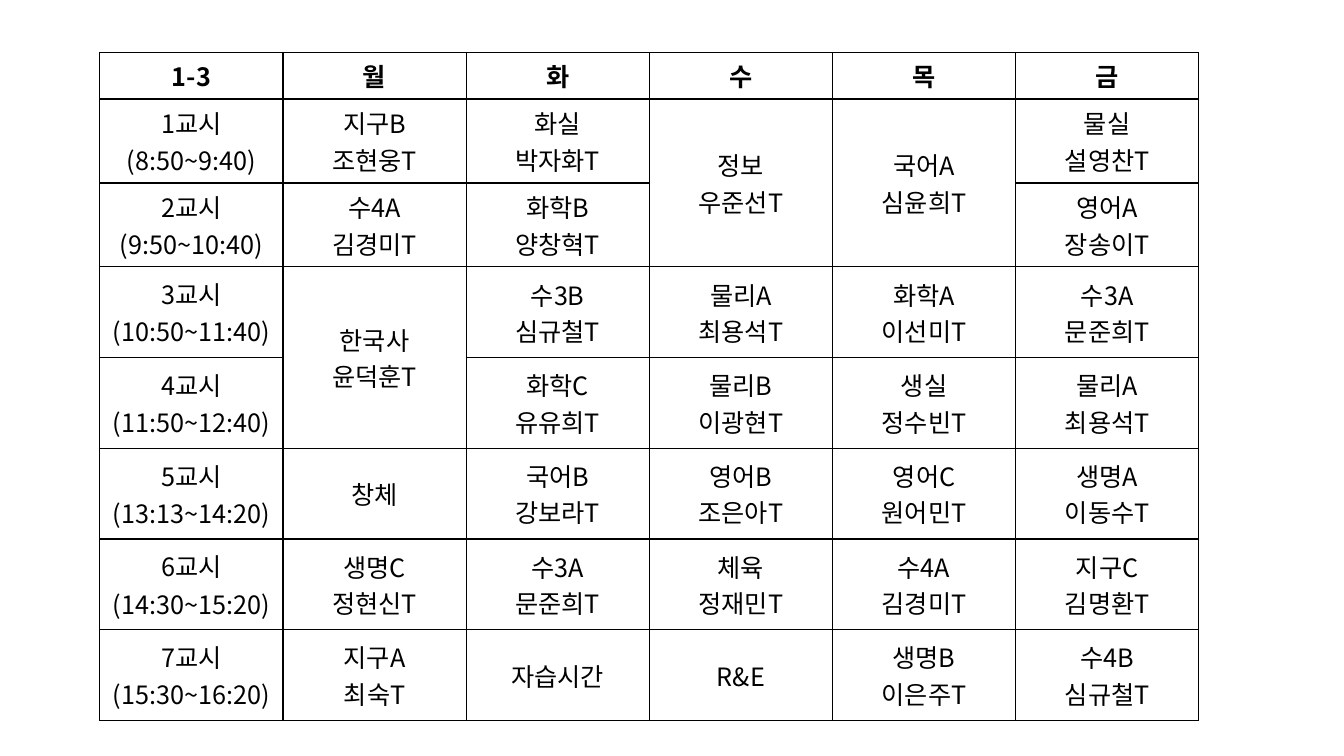
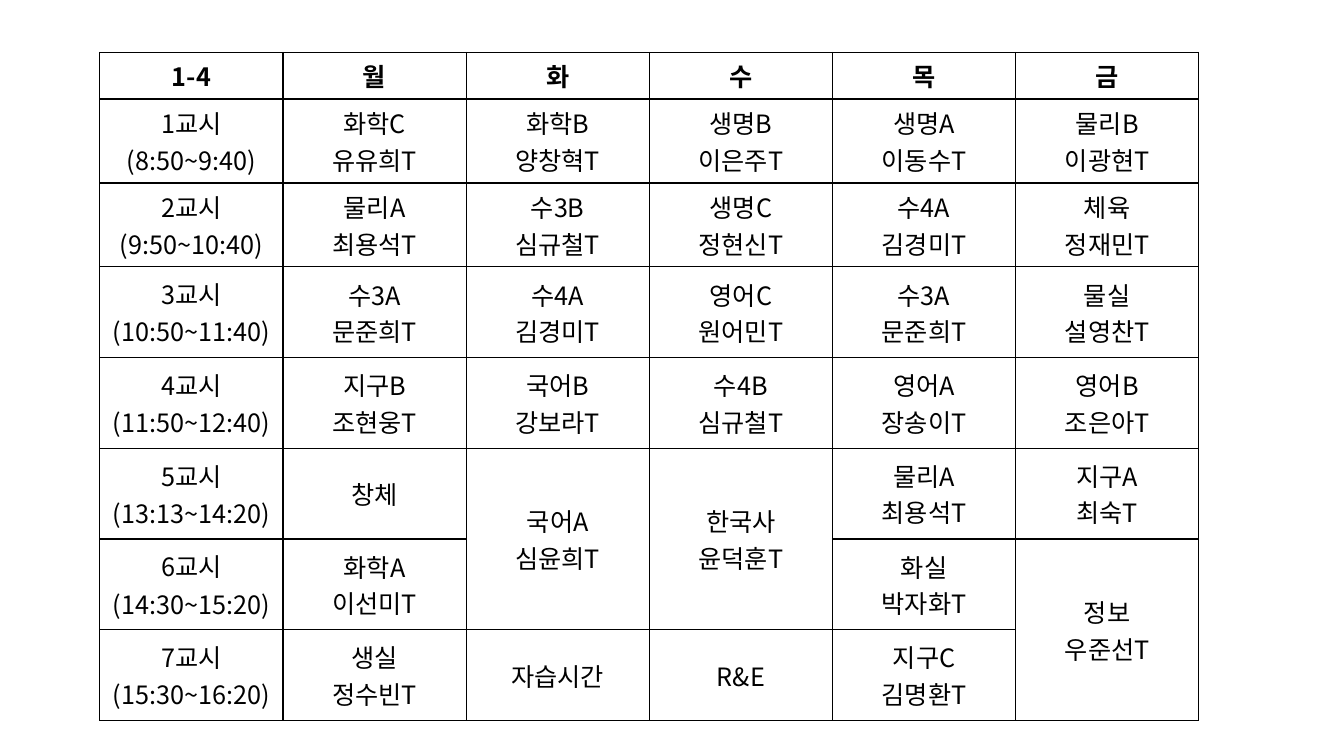
import pptx
import pptx.dml.color
import pptx.enum.text
import pptx.oxml.ns
import pptx.util
from lxml import etree
from pptx.util import Inches

BLACK = pptx.dml.color.RGBColor(0, 0, 0)
WHITE = pptx.dml.color.RGBColor(255, 255, 255)
FONT = "Noto Sans CJK KR"
SIZE = pptx.util.Pt(18)
LINE = pptx.util.Pt(1)
GAP = pptx.util.Pt(0.3)
LEFT, TOP, WIDTH = 0.99, 0.52, 10.9
ROWS = [0.4, 0.76, 0.83] + [0.9] * 5

DAYS = ["월", "화", "수", "목", "금"]
TIMES = ["8:50~9:40", "9:50~10:40", "10:50~11:40", "11:50~12:40",
         "13:13~14:20", "14:30~15:20", "15:30~16:20"]
STAFF = {
    "국어A": "심윤희", "국어B": "강보라",
    "영어A": "장송이", "영어B": "조은아", "영어C": "원어민",
    "수3A": "문준희", "수3B": "심규철", "수4A": "김경미", "수4B": "심규철",
    "물리A": "최용석", "물리B": "이광현", "물실": "설영찬",
    "화학A": "이선미", "화학B": "양창혁", "화학C": "유유희", "화실": "박자화",
    "생명A": "이동수", "생명B": "이은주", "생명C": "정현신", "생실": "정수빈",
    "지구A": "최숙", "지구B": "조현웅", "지구C": "김명환",
    "정보": "우준선", "한국사": "윤덕훈", "체육": "정재민",
}
PLANS = {
    "1-3": [
        ["지구B", "화실", "정보", "국어A", "물실"],
        ["수4A", "화학B", "정보", "국어A", "영어A"],
        ["한국사", "수3B", "물리A", "화학A", "수3A"],
        ["한국사", "화학C", "물리B", "생실", "물리A"],
        ["창체", "국어B", "영어B", "영어C", "생명A"],
        ["생명C", "수3A", "체육", "수4A", "지구C"],
        ["지구A", "자습시간", "R&E", "생명B", "수4B"],
    ],
    "1-4": [
        ["화학C", "화학B", "생명B", "생명A", "물리B"],
        ["물리A", "수3B", "생명C", "수4A", "체육"],
        ["수3A", "수4A", "영어C", "수3A", "물실"],
        ["지구B", "국어B", "수4B", "영어A", "영어B"],
        ["창체", "국어A", "한국사", "물리A", "지구A"],
        ["화학A", "국어A", "한국사", "화실", "정보"],
        ["생실", "자습시간", "R&E", "지구C", "정보"],
    ],
}


def add_child(node, tag, **attrs):
    return etree.SubElement(node, pptx.oxml.ns.qn(tag), **attrs)


def frame_cell(cell):
    props = cell._tc.get_or_add_tcPr()
    for side in "LRTB":
        line = add_child(props, "a:ln" + side, w=str(LINE))
        fill = add_child(line, "a:solidFill")
        add_child(fill, "a:srgbClr", val=str(BLACK))
    cell.fill.solid()
    cell.fill.fore_color.rgb = WHITE
    cell.vertical_anchor = pptx.enum.text.MSO_ANCHOR.MIDDLE


def write_cell(cell, text, bold=False, gap=None):
    cell.text_frame.text = text
    for para in cell.text_frame.paragraphs:
        para.alignment = pptx.enum.text.PP_ALIGN.CENTER
        para.space_before = para.space_after = gap
        for run in para.runs:
            font = run.font
            font.size, font.bold, font.name = SIZE, bold, FONT
            font.color.rgb = BLACK
            add_child(run._r.get_or_add_rPr(), "a:ea", typeface=FONT)


def class_text(name):
    return f"{name}\n{STAFF[name]}T" if name in STAFF else name


def add_grid(slide):
    count = len(DAYS) + 1
    shape = slide.shapes.add_table(
        len(ROWS), count, Inches(LEFT), Inches(TOP),
        Inches(WIDTH), Inches(sum(ROWS)))
    grid = shape.table
    grid.first_row = grid.horz_banding = False
    for col in grid.columns:
        col.width = Inches(WIDTH / count)
    for row, height in zip(grid.rows, ROWS):
        row.height = Inches(height)
    for cell in grid.iter_cells():
        frame_cell(cell)
    return grid


def fill_grid(grid, title, plan):
    write_cell(grid.cell(0, 0), title, True, GAP)
    for col, day in enumerate(DAYS, 1):
        write_cell(grid.cell(0, col), day, True)
    for row, (time, names) in enumerate(zip(TIMES, plan), 1):
        write_cell(grid.cell(row, 0), f"{row}교시\n({time})", gap=GAP)
        for col, name in enumerate(names, 1):
            cell = grid.cell(row, col)
            if row > 1 and plan[row - 2][col - 1] == name:
                grid.cell(row - 1, col).merge(cell)
            else:
                write_cell(cell, class_text(name))


def main():
    deck = pptx.Presentation()
    deck.slide_width, deck.slide_height = Inches(13.33), Inches(7.5)
    for title, plan in PLANS.items():
        slide = deck.slides.add_slide(deck.slide_layouts[6])
        fill_grid(add_grid(slide), title, plan)
    deck.save("out.pptx")


if __name__ == "__main__":
    main()
